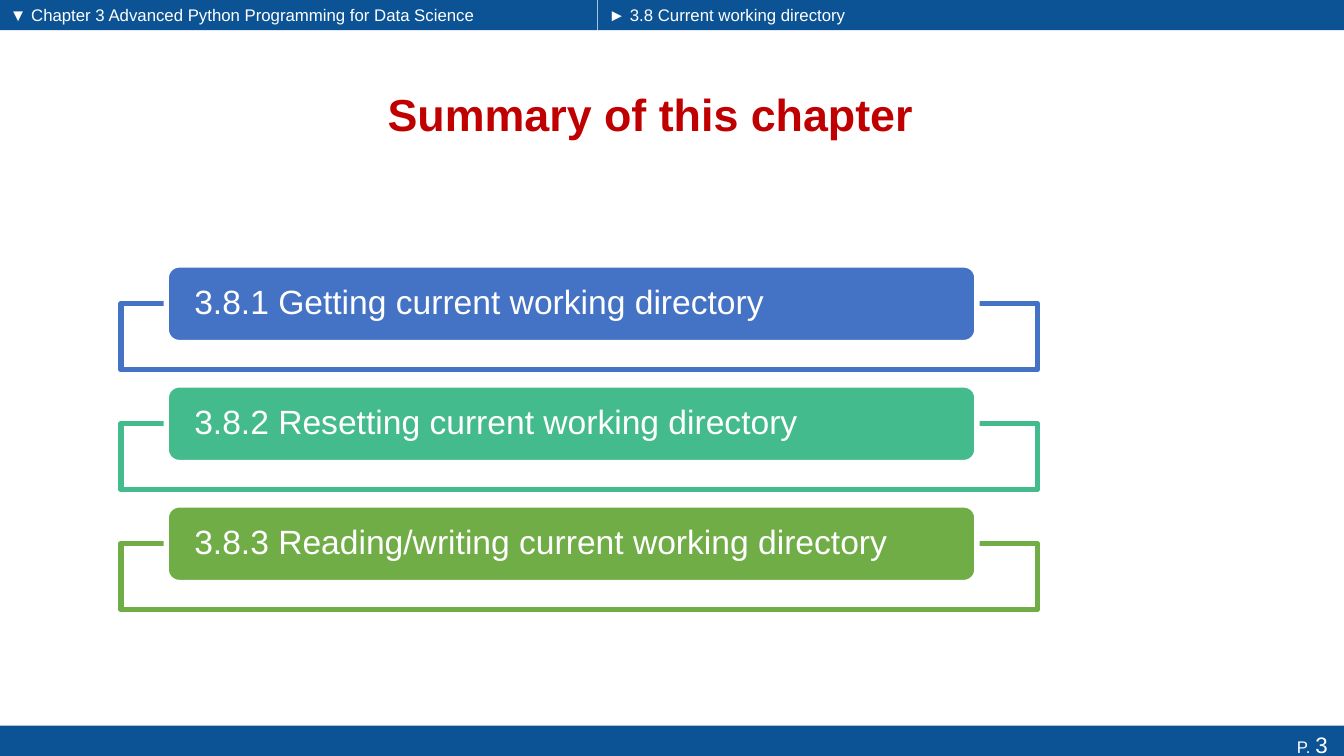
"""Build the chapter summary slide with its header, footer and section list."""
from dataclasses import dataclass

import pptx
import pptx.dml.color
import pptx.enum.shapes
import pptx.enum.text
import pptx.util

Pt = pptx.util.Pt
Align = pptx.enum.text.PP_ALIGN
Anchor = pptx.enum.text.MSO_ANCHOR
Preset = pptx.enum.shapes.MSO_SHAPE

FONT = "Arial"
WHITE = "FFFFFF"
BAR_BLUE = "0B5394"
TITLE_RED = "C00000"
SLIDE_WIDTH, SLIDE_HEIGHT = 960, 540
FIRST_FRAME_TOP, SECTION_PITCH = 216.7, 85.7
FRAME_TO_LABEL = 27.4
LINE_WIDTH = 3.78


@dataclass
class Box:
    left: float
    top: float
    width: float
    height: float

    def lengths(self):
        return Pt(self.left), Pt(self.top), Pt(self.width), Pt(self.height)


@dataclass
class Heading:
    text: str
    box: Box


@dataclass
class Section:
    text: str
    color: str


HEADER_BARS = [Box(0, 0, 426.8, 21.6), Box(427.2, 0, 532.8, 21.6)]
FOOTER_BAR = Box(0, 518.4, SLIDE_WIDTH, 26.6)
TITLE_BOX = Box(180.7, 49, 568, 64.8)
HEADINGS = [
    Heading("▼ Chapter 3 Advanced Python Programming for Data Science", Box(0, 0, 348, 21)),
    Heading("► 3.8 Current working directory", Box(427.7, 0, 185, 21)),
]
SECTIONS = [
    Section("3.8.1 Getting current working directory", "4472C4"),
    Section("3.8.2 Resetting current working directory", "43BB8D"),
    Section("3.8.3 Reading/writing current working directory", "70AD47"),
]


def rgb(color: str) -> pptx.dml.color.RGBColor:
    return pptx.dml.color.RGBColor.from_string(color)


def style_font(font, size: float, color: str, bold: bool = False) -> None:
    font.name = FONT
    font.size = Pt(size)
    font.bold = bold
    font.color.rgb = rgb(color)


def add_box(slide, preset, box: Box, fill: str, line: str | None = None):
    shape = slide.shapes.add_shape(preset, *box.lengths())
    shape.shadow.inherit = False
    shape.fill.solid()
    shape.fill.fore_color.rgb = rgb(fill)
    if line is None:
        shape.line.fill.background()
    else:
        shape.line.color.rgb = rgb(line)
        shape.line.width = Pt(LINE_WIDTH)
    return shape


def add_footer(slide) -> None:
    frame = add_box(slide, Preset.RECTANGLE, FOOTER_BAR, BAR_BLUE).text_frame
    frame.vertical_anchor = Anchor.TOP
    frame.margin_right = Pt(11.6)
    paragraph = frame.paragraphs[0]
    paragraph.alignment = Align.RIGHT
    for text, size in (("P. ", 12), ("3", 16)):
        run = paragraph.add_run()
        run.text = text
        style_font(run.font, size, WHITE)


def add_title(slide) -> None:
    title = slide.shapes.title
    title.left, title.top, title.width, title.height = TITLE_BOX.lengths()
    title.text_frame.text = "Summary of this chapter"
    title.text_frame.vertical_anchor = Anchor.MIDDLE
    paragraph = title.text_frame.paragraphs[0]
    paragraph.alignment = Align.CENTER
    style_font(paragraph.font, 32, TITLE_RED, bold=True)


def add_heading(slide, heading: Heading) -> None:
    frame = slide.shapes.add_textbox(*heading.box.lengths()).text_frame
    frame.word_wrap = False
    frame.text = heading.text
    paragraph = frame.paragraphs[0]
    paragraph.alignment = Align.LEFT
    style_font(paragraph.font, 12, WHITE)


def add_section(slide, section: Section, frame_top: float) -> None:
    add_box(slide, Preset.RECTANGLE, Box(86.4, frame_top, 654.5, 47.5), WHITE, section.color)
    label_box = Box(118.8, frame_top - FRAME_TO_LABEL, 579, 55.4)
    label = add_box(slide, Preset.ROUNDED_RECTANGLE, label_box, section.color, WHITE)
    frame = label.text_frame
    frame.margin_left = frame.margin_right = Pt(17.3)
    frame.margin_top = frame.margin_bottom = 0
    frame.vertical_anchor = Anchor.MIDDLE
    frame.text = section.text
    paragraph = frame.paragraphs[0]
    paragraph.alignment = Align.LEFT
    paragraph.line_spacing = 0.9
    style_font(paragraph.font, 24, WHITE)


def main() -> None:
    presentation = pptx.Presentation()
    presentation.slide_width = Pt(SLIDE_WIDTH)
    presentation.slide_height = Pt(SLIDE_HEIGHT)
    slide = presentation.slides.add_slide(presentation.slide_layouts.get_by_name("Title Only"))
    for bar in HEADER_BARS:
        add_box(slide, Preset.RECTANGLE, bar, BAR_BLUE)
    add_footer(slide)
    add_title(slide)
    for heading in HEADINGS:
        add_heading(slide, heading)
    for index, section in enumerate(SECTIONS):
        add_section(slide, section, FIRST_FRAME_TOP + index * SECTION_PITCH)
    presentation.save("out.pptx")


if __name__ == "__main__":
    main()
